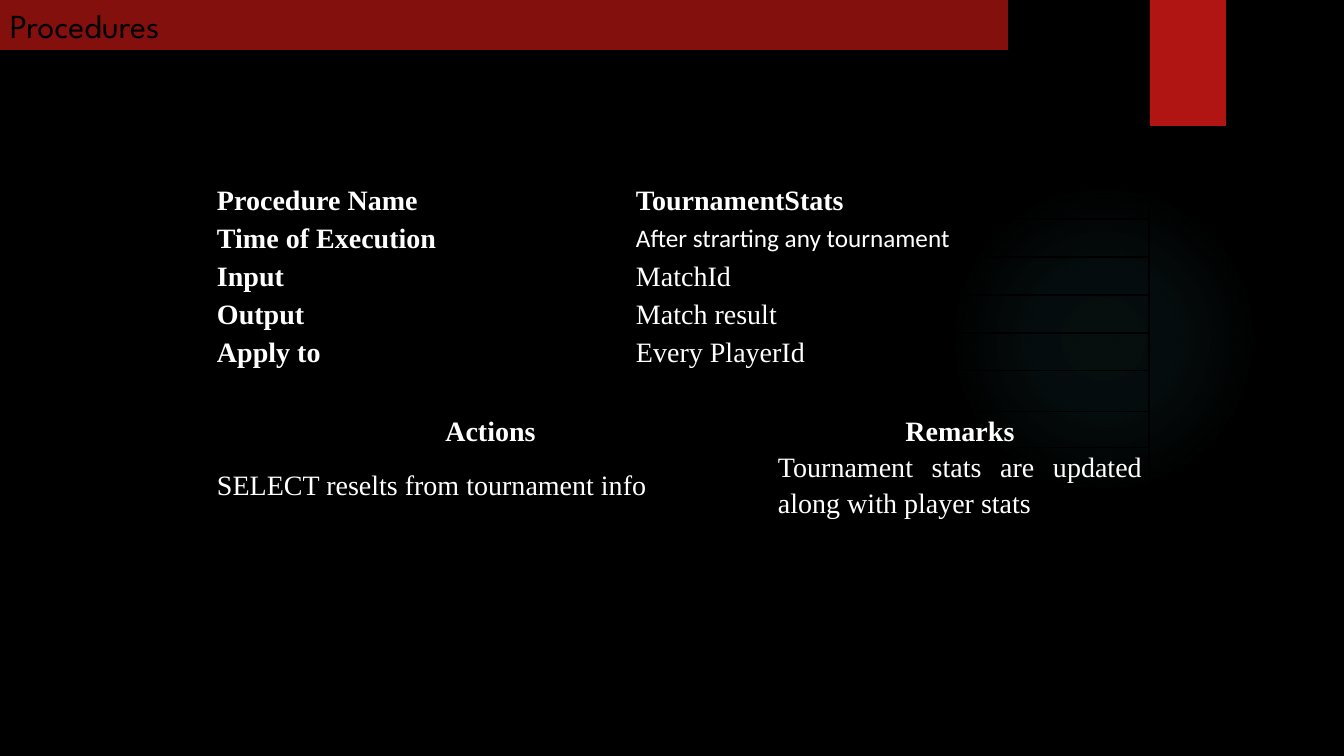
"""Build the Procedures slide with its table of procedure details."""
from dataclasses import dataclass

from lxml.etree import SubElement as Sub
from pptx import Presentation
from pptx.dml.color import RGBColor as Rgb
from pptx.enum.shapes import MSO_SHAPE as Kind
from pptx.enum.text import MSO_ANCHOR as Anchor, MSO_AUTO_SIZE as Fit, PP_ALIGN as Align
from pptx.oxml import parse_xml
from pptx.oxml.ns import qn
from pptx.util import Pt

SCALE = 12192000 / 1344
HUES = {"back": "000000", "band": "84100E", "tab": "B01513", "glow": "50B9C1", "text": "FFFFFF"}
SERIF = "Times New Roman"
COLS = (419, 142, 378)
ROWS = (38,) * 5 + (41, 31, 63)
NS = 'xmlns:a="http://schemas.openxmlformats.org/drawingml/2006/main"'


@dataclass
class Block:
    left: int
    top: int
    width: int
    height: int
    hue: str = ""
    kind: Kind = Kind.RECTANGLE


@dataclass
class Entry:
    row: int
    col: int
    text: str
    bold: bool = False
    align: Align = Align.JUSTIFY
    anchor: Anchor = Anchor.TOP
    font: str = SERIF
    size: int = 20


GLOW = Block(949, 184, 310, 310, kind=Kind.OVAL)
TAB = Block(1150, 0, 76, 126, "tab")
BAND = Block(0, 0, 1008, 50, "band")
GRID = Block(210, 181, sum(COLS), sum(ROWS))
NAMES = ("Procedure Name", "Time of Execution", "Input", "Output", "Apply to")
ENTRIES = [Entry(row, 0, name, True) for row, name in enumerate(NAMES)] + [
    Entry(0, 1, "TournamentStats", True),
    Entry(1, 1, "After strarting any tournament", font="Calibri", size=18),
    Entry(2, 1, "MatchId"),
    Entry(3, 1, "Match result"),
    Entry(4, 1, "Every PlayerId"),
    Entry(6, 0, "Actions", True, Align.CENTER),
    Entry(6, 2, "Remarks", True, Align.CENTER, Anchor.MIDDLE),
    Entry(7, 0, "SELECT reselts from tournament info", align=Align.LEFT, anchor=Anchor.MIDDLE),
    Entry(7, 2, "Tournament stats are updated along with player stats", anchor=Anchor.MIDDLE),
]
SPANS = [(row, 1, 2) for row in range(5)] + [(5, 0, 2), (6, 0, 1), (7, 0, 1)]


def px(count: int) -> int:
    return round(count * SCALE)


def tint(name: str) -> Rgb:
    return Rgb.from_string(HUES[name])


def place(block: Block) -> tuple:
    return tuple(px(n) for n in (block.left, block.top, block.width, block.height))


def draw(slide, block: Block):
    shape = slide.shapes.add_shape(block.kind, *place(block))
    shape.shadow.inherit = False
    shape.line.fill.background()
    if block.hue:
        shape.fill.solid()
        shape.fill.fore_color.rgb = tint(block.hue)
    return shape


def shine(shape) -> None:
    stops = "".join(
        f'<a:gs pos="{pos}000"><a:srgbClr val="{HUES["glow"]}"><a:alpha val="{alpha}000"/></a:srgbClr></a:gs>'
        for pos, alpha in ((0, 7), (36, 6), (69, 0)))
    fill = parse_xml(
        f'<a:gradFill {NS}><a:gsLst>{stops}</a:gsLst><a:path path="circle">'
        '<a:fillToRect l="50000" t="50000" r="50000" b="50000"/></a:path></a:gradFill>')
    shape._element.spPr.find(qn("a:prstGeom")).addnext(fill)


def shade(shape) -> None:
    effect = shape._element.spPr.find(qn("a:effectLst"))
    effect.append(parse_xml(
        f'<a:outerShdw {NS} blurRad="{Pt(3)}" dist="{Pt(2)}" dir="5400000" rotWithShape="0">'
        f'<a:srgbClr val="{HUES["back"]}"><a:alpha val="45000"/></a:srgbClr></a:outerShdw>'))


def edge(cell) -> None:
    props = cell._tc.get_or_add_tcPr()
    for side in "LRTB":
        line = Sub(props, qn(f"a:ln{side}"), w=str(Pt(1)))
        Sub(Sub(line, qn("a:solidFill")), qn("a:srgbClr"), val=HUES["back"])


def write(para, text: str, font: str, size: int, hue: str, bold: bool = False) -> None:
    run = para.add_run()
    run.text = text
    run.font.name = font
    run.font.size = Pt(size)
    run.font.bold = bold
    run.font.color.rgb = tint(hue)


def enter(table, entry: Entry) -> None:
    cell = table.cell(entry.row, entry.col)
    cell.margin_left = cell.margin_right = px(7)
    cell.margin_top = cell.margin_bottom = 0
    cell.vertical_anchor = entry.anchor
    para = cell.text_frame.paragraphs[0]
    para.alignment = entry.align
    para.line_spacing = 1.15
    write(para, entry.text, entry.font, entry.size, "text", entry.bold)


def fill_grid(slide) -> None:
    table = slide.shapes.add_table(len(ROWS), len(COLS), *place(GRID)).table
    table.first_row = table.horz_banding = False
    for col, width in zip(table.columns, COLS):
        col.width = px(width)
    for row, height in zip(table.rows, ROWS):
        row.height = px(height)
    for cell in table.iter_cells():
        edge(cell)
        cell.fill.background()
    for row, start, end in SPANS:
        table.cell(row, start).merge(table.cell(row, end))
    for entry in ENTRIES:
        enter(table, entry)


def main() -> None:
    deck = Presentation()
    deck.slide_width, deck.slide_height = px(1344), px(756)
    slide = deck.slides.add_slide(deck.slide_layouts[6])
    slide.background.fill.solid()
    slide.background.fill.fore_color.rgb = tint("back")
    shine(draw(slide, GLOW))
    shade(draw(slide, TAB))
    fill_grid(slide)
    frame = draw(slide, BAND).text_frame
    frame.word_wrap = True
    frame.auto_size = Fit.SHAPE_TO_FIT_TEXT
    frame.vertical_anchor = Anchor.TOP
    para = frame.paragraphs[0]
    para.alignment = Align.LEFT
    write(para, "Procedures", "League Spartan", 24, "back")
    deck.save("out.pptx")


if __name__ == "__main__":
    main()
